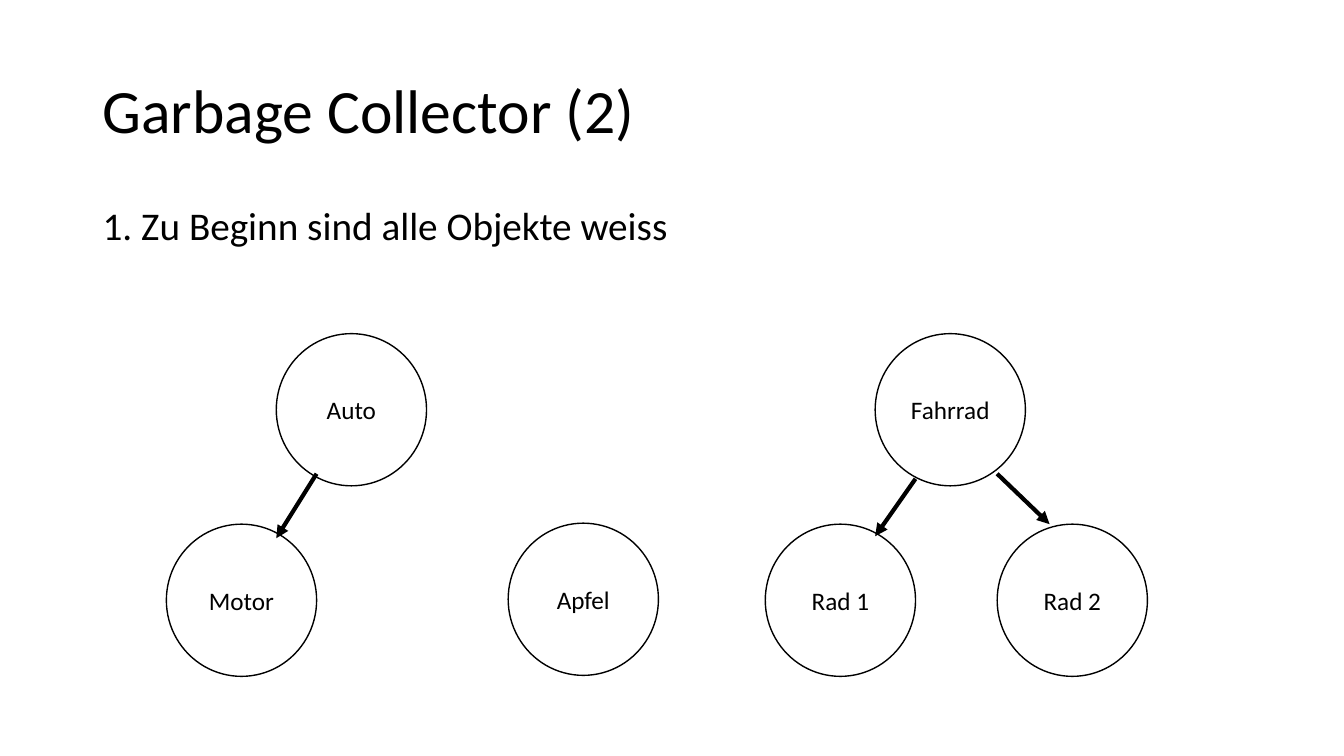
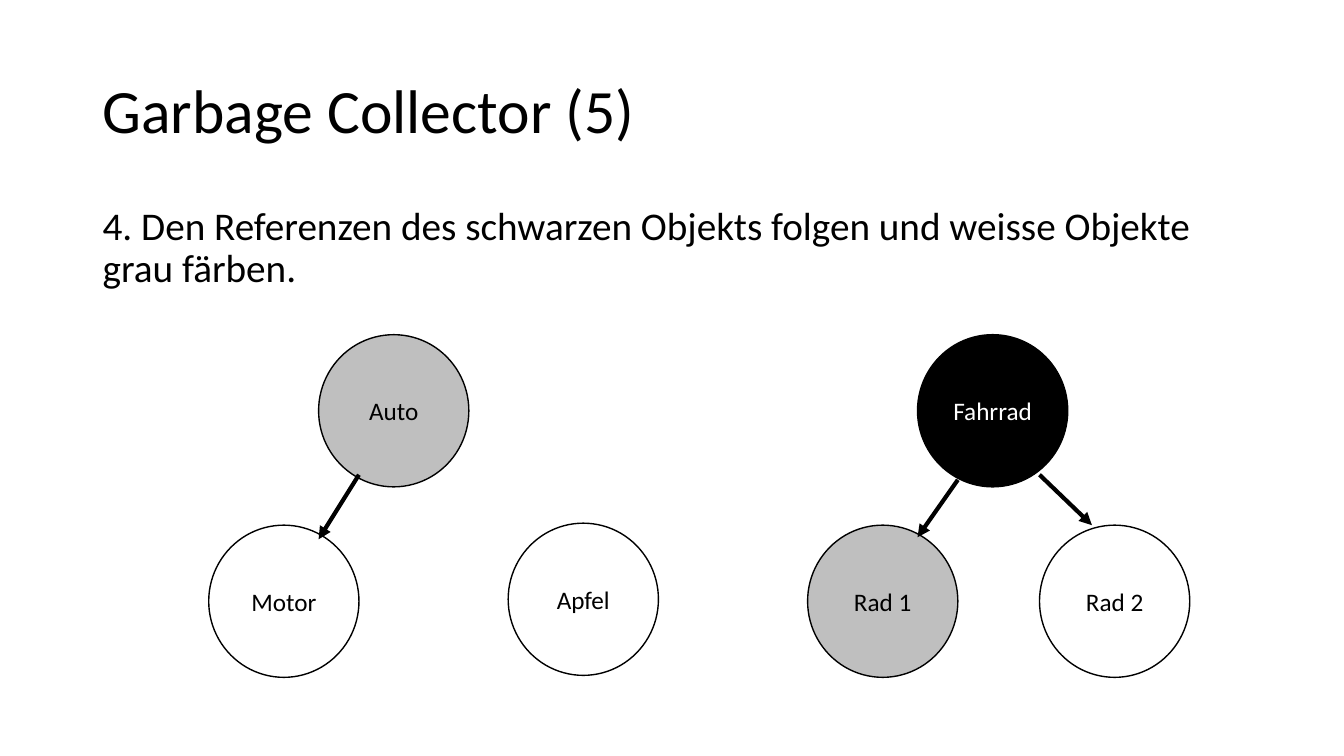
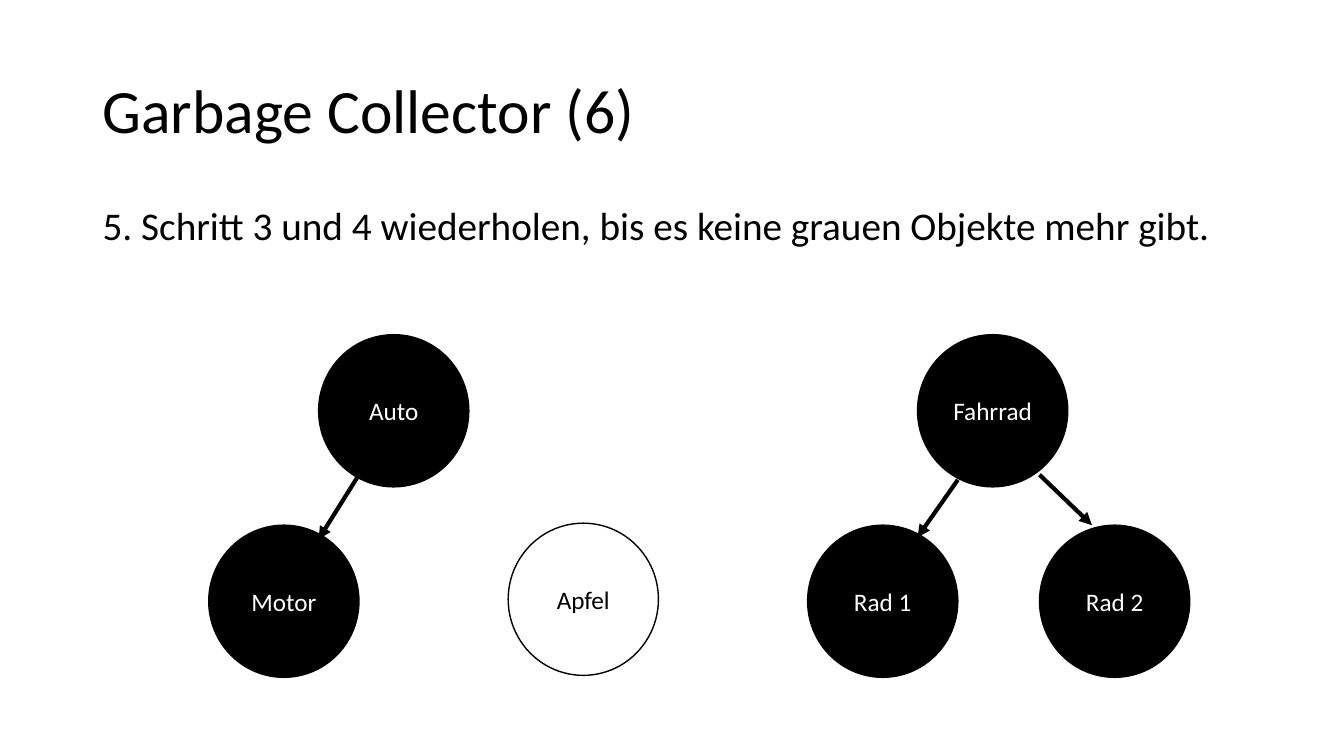
from dataclasses import dataclass, field

from lxml import etree
from pptx import Presentation
from pptx.dml.color import RGBColor
from pptx.enum.shapes import MSO_CONNECTOR, MSO_SHAPE
from pptx.enum.text import MSO_ANCHOR, PP_ALIGN
from pptx.oxml.ns import qn
from pptx.slide import Slide
from pptx.text.text import TextFrame
from pptx.util import Inches, Pt

ELLIPSE = MSO_SHAPE.OVAL
STRAIGHT = MSO_CONNECTOR.STRAIGHT
TOP, MIDDLE = MSO_ANCHOR.TOP, MSO_ANCHOR.MIDDLE
LEFT, CENTER = PP_ALIGN.LEFT, PP_ALIGN.CENTER

FONT = "Calibri"
BLACK, GREY, WHITE = "000000", "BFBFBF", "FFFFFF"

MARGIN, CONTENT_WIDTH = 0.92, 11.5
NODE_WIDTH, NODE_HEIGHT = 1.49, 1.51
PARENT_TOP, CHILD_TOP = 3.31, 5.2


@dataclass(frozen=True)
class Node:
    label: str
    left: float
    top: float
    fixed: bool = False


@dataclass(frozen=True)
class Reference:
    start: tuple[float, float]
    end: tuple[float, float]


@dataclass(frozen=True)
class Step:
    number: int
    text: str
    shift: tuple[float, float] = (0.42, 0.01)
    marks: dict[str, str] = field(default_factory=dict)


NODES = (
    Node("Auto", 2.74, PARENT_TOP),
    Node("Fahrrad", 8.68, PARENT_TOP),
    Node("Motor", 1.65, CHILD_TOP),
    Node("Rad 2", 9.89, CHILD_TOP),
    Node("Rad 1", 7.59, CHILD_TOP),
    Node("Apfel", 5.04, 5.19, fixed=True),
)
REFERENCES = (
    Reference((3.14, 4.7), (2.74, 5.34)),
    Reference((9.08, 4.75), (8.68, 5.32)),
    Reference((9.89, 4.7), (10.41, 5.2)),
)
STEPS = (
    Step(2, "1. Zu Beginn sind alle Objekte weiss", shift=(0, 0)),
    Step(
        5,
        "4. Den Referenzen des schwarzen Objekts folgen und weisse Objekte grau färben.",
        marks={"Auto": GREY, "Fahrrad": BLACK, "Rad 1": GREY},
    ),
    Step(
        6,
        "5. Schritt 3 und 4 wiederholen, bis es keine grauen Objekte mehr gibt.",
        marks={node.label: BLACK for node in NODES if not node.fixed},
    ),
)


def rgb(value: str) -> RGBColor:
    return RGBColor.from_string(value)


def write(
    frame: TextFrame,
    text: str,
    *,
    size: float,
    color: str = BLACK,
    align: PP_ALIGN = LEFT,
    anchor: MSO_ANCHOR = TOP,
    line_spacing: float = 1.0,
    space_before: float = 0,
) -> None:
    frame.word_wrap = True
    frame.vertical_anchor = anchor
    paragraph = frame.paragraphs[0]
    paragraph.alignment = align
    paragraph.line_spacing = line_spacing
    paragraph.space_before = Pt(space_before)
    run = paragraph.add_run()
    run.text = text
    run.font.name = FONT
    run.font.size = Pt(size)
    run.font.color.rgb = rgb(color)


def add_text_area(slide: Slide, top: float, height: float) -> TextFrame:
    """Add a text box that spans the content width."""
    area = slide.shapes.add_textbox(
        Inches(MARGIN), Inches(top), Inches(CONTENT_WIDTH), Inches(height)
    )
    return area.text_frame


def draw_node(slide: Slide, node: Node, step: Step) -> None:
    dx, dy = (0, 0) if node.fixed else step.shift
    circle = slide.shapes.add_shape(
        ELLIPSE,
        Inches(node.left + dx),
        Inches(node.top + dy),
        Inches(NODE_WIDTH),
        Inches(NODE_HEIGHT),
    )
    mark = step.marks.get(node.label, WHITE)
    circle.shadow.inherit = False
    circle.fill.solid()
    circle.fill.fore_color.rgb = rgb(mark)
    circle.line.color.rgb = rgb(BLACK)
    circle.line.width = Pt(1)
    write(
        circle.text_frame,
        node.label,
        size=18,
        color=WHITE if mark == BLACK else BLACK,
        align=CENTER,
        anchor=MIDDLE,
    )


def draw_reference(slide: Slide, reference: Reference, step: Step) -> None:
    dx, dy = step.shift
    (x1, y1), (x2, y2) = reference.start, reference.end
    arrow = slide.shapes.add_connector(
        STRAIGHT, Inches(x1 + dx), Inches(y1 + dy), Inches(x2 + dx), Inches(y2 + dy)
    )
    arrow.line.color.rgb = rgb(BLACK)
    arrow.line.width = Pt(3)
    etree.SubElement(arrow.line._get_or_add_ln(), qn("a:tailEnd"), type="triangle")
    etree.SubElement(arrow._element.spPr, qn("a:effectLst"))


def draw_step(slide: Slide, step: Step) -> None:
    write(
        add_text_area(slide, 0.4, 1.45),
        f"Garbage Collector ({step.number})",
        size=44,
        anchor=MIDDLE,
        line_spacing=0.9,
    )
    write(
        add_text_area(slide, 2, 4.76),
        step.text,
        size=28,
        line_spacing=0.9,
        space_before=10,
    )
    for node in NODES:
        draw_node(slide, node, step)
    for reference in REFERENCES:
        draw_reference(slide, reference, step)


def main() -> None:
    deck = Presentation()
    deck.slide_width = Inches(13.33)
    deck.slide_height = Inches(7.5)
    blank = deck.slide_layouts[6]
    for step in STEPS:
        draw_step(deck.slides.add_slide(blank), step)
    deck.save("out.pptx")


if __name__ == "__main__":
    main()
